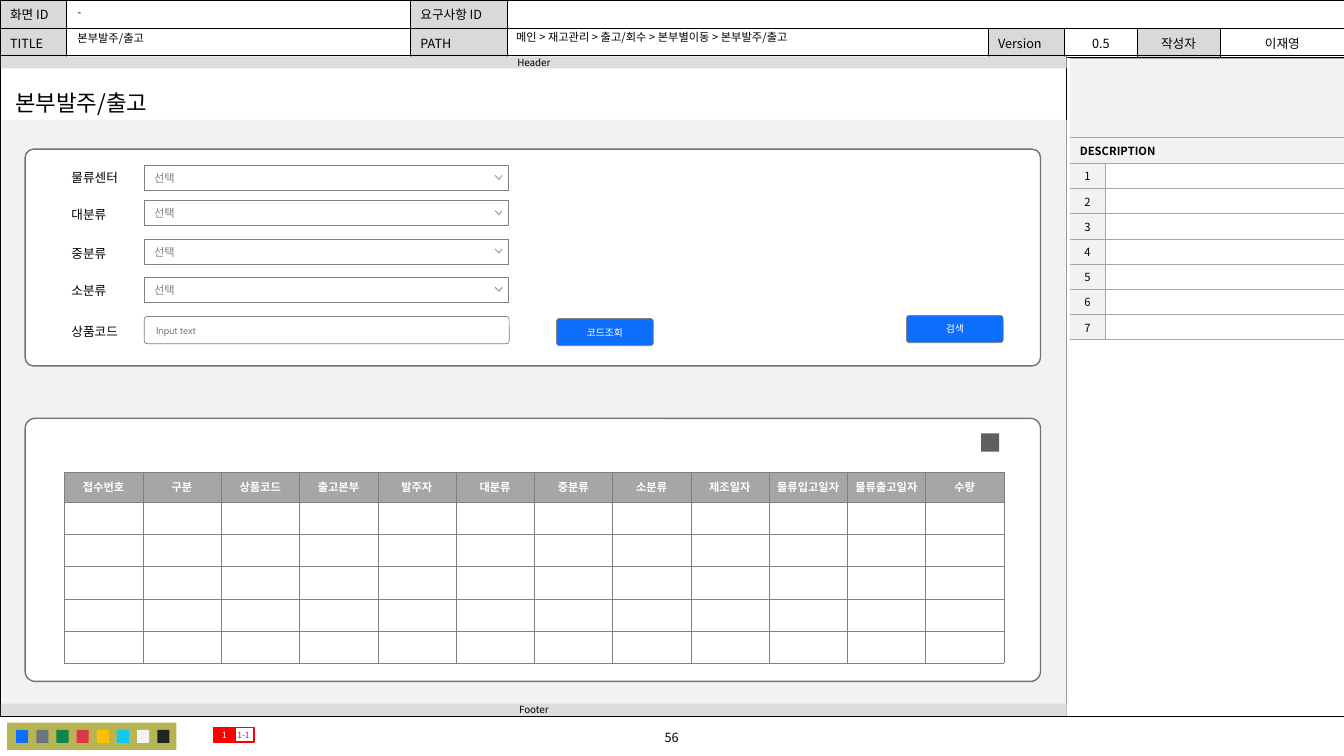
"""Build the wireframe page for the headquarters order and release screen."""
from dataclasses import dataclass
from typing import Optional

import lxml.etree
import pptx
import pptx.dml.color
import pptx.enum.shapes
import pptx.enum.text
import pptx.oxml.ns
import pptx.util

Inches = pptx.util.Inches
Pt = pptx.util.Pt
qn = pptx.oxml.ns.qn
SHAPE = pptx.enum.shapes.MSO_SHAPE
ALIGN = pptx.enum.text.PP_ALIGN
MIDDLE = pptx.enum.text.MSO_ANCHOR.MIDDLE
NOTO = "Noto Sans CJK KR"
NO_GRID_STYLE = "{2D5ABB26-0587-4C30-8999-92F81FD0307C}"
COLORS = {
    "black": "000000", "white": "FFFFFF", "label": "D9D9D9", "bar": "DDDDDD",
    "pale": "F2F2F2", "rule": "A6A6A6", "grey": "808080", "slate": "6C757D",
    "blue": "0D6EFD", "red": "FF0000", "olive": "B7B553", "green": "10834E",
    "crimson": "DC3545", "amber": "FFBE00", "cyan": "0DCAF0", "ink": "212529", "icon": "5F5F5F",
}


@dataclass(frozen=True)
class TextStyle:
    """Type settings and insets (left, top, right, bottom) of a text."""
    size: float
    color: str = "black"
    font: str = NOTO
    bold: bool = False
    align: ALIGN = ALIGN.LEFT
    insets: tuple = (0.1, 0.05, 0.1, 0.05)
    spacing: float = 1.0


@dataclass(frozen=True)
class Block:
    """A preset shape with its place, paint and text."""
    left: float
    top: float
    width: float
    height: float
    fill: Optional[str] = None
    line: Optional[str] = None
    weight: float = 0.5
    corner: Optional[float] = None
    text: str = ""
    style: Optional[TextStyle] = None


@dataclass(frozen=True)
class Label:
    """A piece of text in a box."""
    text: str
    left: float
    top: float
    width: float
    height: float
    style: TextStyle


@dataclass(frozen=True)
class Grid:
    """Place, track sizes and border of a table."""
    left: float
    top: float
    columns: list
    rows: list
    border: str
    weight: float


ZERO = (0, 0, 0, 0)
BUTTON_INSETS = (0.11, 0.07, 0.11, 0.07)
HEAD = TextStyle(9)
HEAD_CENTER = TextStyle(9, align=ALIGN.CENTER)
VALUE = TextStyle(8, spacing=0.9)
BAR = TextStyle(7, align=ALIGN.CENTER, insets=ZERO)
SELECT = TextStyle(8, "grey", "Cabin", insets=(0.1, 0.06, 0.28, 0.06))
INPUT = TextStyle(7, "grey", "Cabin", insets=BUTTON_INSETS)
BUTTON = TextStyle(7, "white", "Cabin", align=ALIGN.CENTER, insets=BUTTON_INSETS)
NUMBER = TextStyle(8, align=ALIGN.CENTER, insets=ZERO)
COLUMN_HEAD = TextStyle(8, "white", bold=True, align=ALIGN.CENTER, insets=(0.06, 0.04, 0.06, 0.04))


def rgb(name: str) -> pptx.dml.color.RGBColor:
    """Return the named colour."""
    return pptx.dml.color.RGBColor.from_string(COLORS[name])


def paint(target, color: Optional[str]) -> None:
    """Fill a shape or cell, or leave it clear."""
    if color is None:
        target.fill.background()
    else:
        target.fill.solid()
        target.fill.fore_color.rgb = rgb(color)


def outline(line, color: Optional[str], weight: float) -> None:
    """Format a line, or hide it."""
    if color is None:
        line.fill.background()
    else:
        line.color.rgb = rgb(color)
        line.width = Pt(weight)


def write(holder, frame, text: str, style: TextStyle) -> None:
    """Put styled text in a shape or cell; the holder carries the insets of a cell."""
    frame.text = text
    sides = ("margin_left", "margin_top", "margin_right", "margin_bottom")
    for side, inset in zip(sides, style.insets):
        setattr(holder, side, Inches(inset))
    holder.vertical_anchor = MIDDLE
    para = frame.paragraphs[0]
    para.alignment = style.align
    para.line_spacing = style.spacing
    para.space_before = Pt(0)
    for span in para.runs:
        span.font.name = style.font
        span.font.size = Pt(style.size)
        span.font.bold = style.bold
        span.font.color.rgb = rgb(style.color)
        lxml.etree.SubElement(span.font._element, qn("a:ea"), typeface=NOTO)
    if not text:
        lxml.etree.SubElement(para._p, qn("a:endParaRPr"), sz=str(int(style.size * 100)))


def add_block(shapes, block: Block):
    """Draw a plain or rounded rectangle."""
    kind = SHAPE.RECTANGLE if block.corner is None else SHAPE.ROUNDED_RECTANGLE
    box = shapes.add_shape(kind, *map(Inches, (block.left, block.top, block.width, block.height)))
    box.shadow.inherit = False
    if block.corner is not None:
        box.adjustments[0] = block.corner
    paint(box, block.fill)
    outline(box.line, block.line, block.weight)
    if block.style:
        write(box.text_frame, box.text_frame, block.text, block.style)
        box.text_frame.word_wrap = True
    return box


def add_label(shapes, label: Label) -> None:
    """Draw a text box."""
    box = shapes.add_textbox(*map(Inches, (label.left, label.top, label.width, label.height)))
    write(box.text_frame, box.text_frame, label.text, label.style)
    box.text_frame.word_wrap = True


def add_select(page, top: float) -> None:
    """Draw a drop-down field with its chevron."""
    shapes = page.shapes.add_group_shape().shapes
    add_block(shapes, Block(1.43, top, 3.61, 0.25, "white", "grey", text="선택", style=SELECT))
    tip = top + 0.1
    builder = shapes.build_freeform(Inches(4.98), Inches(tip))
    builder.add_line_segments([(Inches(4.95), Inches(tip + 0.04)), (Inches(4.91), Inches(tip))], close=False)
    chevron = builder.convert_to_shape()
    chevron.shadow.inherit = False
    paint(chevron, "white")
    outline(chevron.line, "grey", 0.5)


def add_grid(page, grid: Grid):
    """Add an unstyled table with the given tracks."""
    frame = page.shapes.add_table(
        len(grid.rows), len(grid.columns), Inches(grid.left), Inches(grid.top),
        Inches(sum(grid.columns)), Inches(sum(grid.rows)))
    next(frame._element.iter(qn("a:tableStyleId"))).text = NO_GRID_STYLE
    table = frame.table
    table.first_row = table.horz_banding = False
    for tracks, name, sizes in ((table.columns, "width", grid.columns), (table.rows, "height", grid.rows)):
        for track, size in zip(tracks, sizes):
            setattr(track, name, Inches(size))
    return table


def set_cell(cell, grid: Grid, text: str, style: TextStyle, fill: Optional[str], sides: str = "LRTB") -> None:
    """Write, border and fill one cell."""
    write(cell, cell.text_frame, text, style)
    properties = cell._tc.get_or_add_tcPr()
    for side in sides:
        edge = lxml.etree.SubElement(properties, qn(f"a:ln{side}"), w=str(int(Pt(grid.weight))))
        solid = lxml.etree.SubElement(edge, qn("a:solidFill"))
        lxml.etree.SubElement(solid, qn("a:srgbClr"), val=COLORS[grid.border])
    paint(cell, fill)


def add_page_head(page) -> None:
    """Draw the document information table."""
    grid = Grid(0, 0, [0.66, 3.41, 0.96, 4.77, 0.76, 0.72, 0.82, 1.24], [0.28, 0.28], "black", 0.5)
    table = add_grid(page, grid)
    words = [["화면 ID", "", "요구사항 ID"] + [""] * 5,
             ["TITLE", "", "PATH", "", "Version", "0.5", "작성자", "이재영"]]
    for row, line in enumerate(words):
        for column, text in enumerate(line):
            named = column % 2 == 0 and text != ""
            style = HEAD_CENTER if column > 4 else HEAD
            set_cell(table.cell(row, column), grid, text, style, "label" if named else "white")
    table.cell(0, 3).merge(table.cell(0, 7))


def add_description(page) -> None:
    """Draw the numbered description table."""
    grid = Grid(10.61, 0.58, [0.35, 2.37], [0.78, 0.26] + [0.25] * 7, "rule", 0.5)
    table = add_grid(page, grid)
    for row in range(len(grid.rows)):
        numbered = row > 1
        text = str(row - 1) if numbered else ("", "DESCRIPTION")[row]
        style = NUMBER if numbered else TextStyle(8, bold=True)
        set_cell(table.cell(row, 0), grid, text, style, "pale", "RTB" if numbered else "TB")
        set_cell(table.cell(row, 1), grid, "", NUMBER, None if numbered else "pale", "LTB" if numbered else "TB")
        if not numbered:
            table.cell(row, 0).merge(table.cell(row, 1))


def add_results(page) -> None:
    """Draw the empty result table."""
    heads = ["접수번호", "구분", "상품코드", "출고본부", "발주자", "대분류", "중분류", "소분류",
             "제조일자", "물류입고일자", "물류출고일자", "수량"]
    grid = Grid(0.64, 4.68, [9.32 / len(heads)] * len(heads), [0.3] + [0.32] * 5, "grey", 0.25)
    table = add_grid(page, grid)
    for row in range(len(grid.rows)):
        for column, head in enumerate(heads):
            set_cell(table.cell(row, column), grid, "" if row else head, COLUMN_HEAD, None if row else "rule")


def add_frame(page) -> None:
    """Draw the page frame, palette and header and footer bars."""
    add_block(page.shapes, Block(0, 0.55, 13.33, 6.56, line="black", weight=0.25))
    add_label(page.shapes, Label("56", 5.37, 7.19, 2.58, 0.25, HEAD_CENTER))
    divider = page.shapes.add_connector(
        pptx.enum.shapes.MSO_CONNECTOR.STRAIGHT, *map(Inches, (10.58, 0.56, 10.58, 7.11)))
    outline(divider.line, "black", 0.5)
    lxml.etree.SubElement(divider._element.spPr, qn("a:effectLst"))
    palette = page.shapes.add_group_shape().shapes
    add_block(palette, Block(0.07, 7.17, 1.68, 0.27, "olive"))
    for index, color in enumerate(["blue", "slate", "green", "crimson", "amber", "cyan", "pale", "ink"]):
        add_block(palette, Block(0.16 + 0.2 * index, 7.24, 0.12, 0.13, color))
    add_block(page.shapes, Block(0.02, 1.19, 10.56, 5.91, "pale"))
    for text, top in (("Footer", 6.98), ("Header", 0.56)):
        add_block(page.shapes, Block(0.01, top, 10.57, 0.12, "bar", text=text, style=BAR))


def add_content(page) -> None:
    """Draw the search form, the results and the path texts."""
    for top, height in ((4.15, 2.61), (1.48, 2.15)):
        add_block(page.shapes, Block(0.25, top, 10.07, height, "white", "slate", 1, 0.038))
    add_description(page)
    for text, left, top, width in (
            ("메인 > 재고관리 > 출고/회수 > 본부별이동 > 본부발주/출고", 5.02, 0.26, 4.74),
            ("-", 0.67, 0.01, 3.4), ("본부발주/출고", 0.67, 0.27, 3.38)):
        add_label(page.shapes, Label(text, left, top, width, 0.23, VALUE))
    for text, left, fill, ink in (("1-1", 2.31, None, "red"), ("1", 2.12, "red", "white")):
        style = TextStyle(6, ink, align=ALIGN.CENTER, insets=ZERO)
        add_block(page.shapes, Block(left, 7.22, 0.21, 0.14, fill, "red", 1, text=text, style=style))
    for text, top in (("물류센터", 1.64), ("대분류", 2), ("중분류", 2.39), ("소분류", 2.76), ("상품코드", 3.16)):
        add_label(page.shapes, Label(text, 0.61, top, 0.75, 0.25, HEAD))
    for top in (1.64, 1.99, 2.37, 2.75):
        add_select(page, top)
    for text, left, top, width, fill, style in (
            ("Input text", 1.43, 3.14, 3.62, "white", INPUT),
            ("코드조회", 5.52, 3.16, 0.96, "blue", BUTTON), ("검색", 8.99, 3.13, 0.96, "blue", BUTTON)):
        add_block(page.shapes, Block(left, top, width, 0.27, fill, "grey", 0.5, 0.108, text, style))
    add_results(page)
    add_block(page.shapes, Block(9.73, 4.3, 0.18, 0.18, "icon"))


def main() -> None:
    """Build and save the deck."""
    deck = pptx.Presentation()
    deck.slide_width, deck.slide_height = Inches(13.33), Inches(7.5)
    page = deck.slides.add_slide(deck.slide_layouts[5])
    title = page.shapes.title
    title.left, title.top, title.width, title.height = map(Inches, (0.05, 0.83, 1.64, 0.37))
    write(title.text_frame, title.text_frame, "본부발주/출고", TextStyle(16))
    title.text_frame.auto_size = pptx.enum.text.MSO_AUTO_SIZE.NONE
    title.text_frame.word_wrap = False
    add_page_head(page)
    add_frame(page)
    add_content(page)
    deck.save("out.pptx")


if __name__ == "__main__":
    main()
